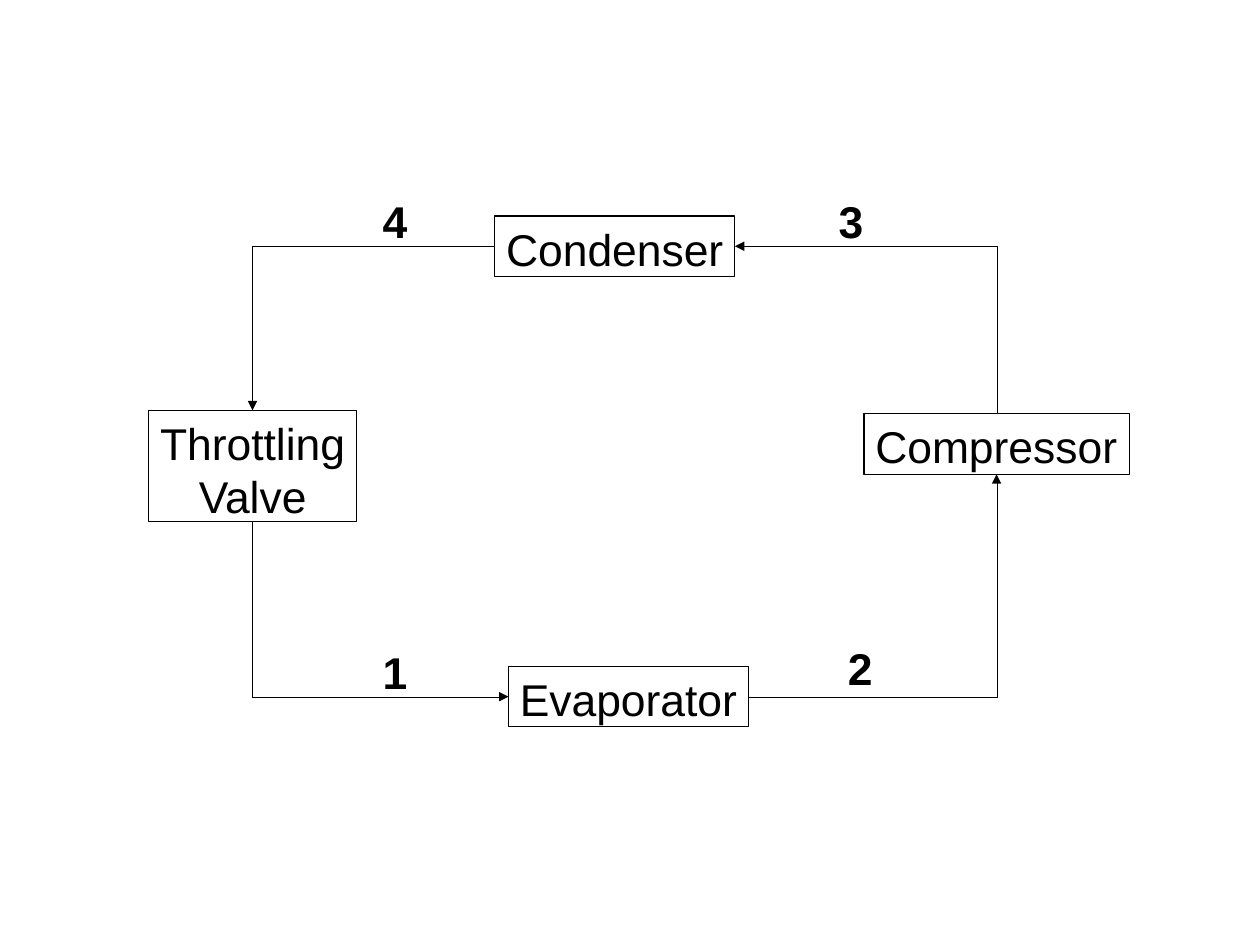
import pptx
import pptx.dml.color
import pptx.enum.shapes
import pptx.enum.text
import pptx.oxml
import pptx.oxml.ns
import pptx.util
from pptx.util import Inches

BLACK = "000000"
TOP, LEFT, BOTTOM, RIGHT = range(4)

STAGES = {
    "Compressor": (6.26, 1.97, 2.32, 0.53),
    "Evaporator": (3.15, 4.18, 2.1, 0.53),
    "Condenser": (3.03, 0.24, 2.1, 0.53),
    "Throttling\nValve": (0, 1.94, 1.82, 0.97),
}
FLOWS = [
    ("Compressor", TOP, "Condenser", RIGHT),
    ("Condenser", LEFT, "Throttling\nValve", TOP),
    ("Throttling\nValve", BOTTOM, "Evaporator", LEFT),
    ("Evaporator", RIGHT, "Compressor", BOTTOM),
]
STATES = {"1": (1.95, 3.94), "2": (6.02, 3.91), "3": (5.94, 0), "4": (1.95, 0)}


def colour(hex_value):
    return pptx.dml.color.RGBColor.from_string(hex_value)


def write_label(shape, label, bold=False):
    frame = shape.text_frame
    frame.word_wrap = False
    frame.auto_size = pptx.enum.text.MSO_AUTO_SIZE.SHAPE_TO_FIT_TEXT
    frame.vertical_anchor = pptx.enum.text.MSO_ANCHOR.TOP
    frame.margin_left = frame.margin_right = Inches(0.1)
    frame.margin_top = frame.margin_bottom = Inches(0.05)
    lines = label.split("\n")
    alignments = pptx.enum.text.PP_ALIGN
    for index, line in enumerate(lines):
        paragraph = frame.add_paragraph() if index else frame.paragraphs[0]
        paragraph.alignment = alignments.CENTER if len(lines) > 1 else alignments.LEFT
        run = paragraph.add_run()
        run.text = line
        run.font.name = "Arial"
        run.font.size = pptx.util.Pt(28)
        run.font.bold = bold
        run.font.color.rgb = colour(BLACK)


def draw_stage(slide, label, left, top, width, height):
    stage = slide.shapes.add_shape(
        pptx.enum.shapes.MSO_SHAPE.RECTANGLE,
        Inches(left), Inches(top), Inches(width), Inches(height))
    stage.shadow.inherit = False
    stage.fill.background()
    stage.line.color.rgb = colour(BLACK)
    stage.line.width = pptx.util.Pt(0)
    write_label(stage, label)
    return stage


def side_middle(stage, side):
    across, down = {TOP: (0.5, 0), LEFT: (0, 0.5),
                    BOTTOM: (0.5, 1), RIGHT: (1, 0.5)}[side]
    return stage.left + stage.width * across, stage.top + stage.height * down


def draw_flow(slide, source, source_side, target, target_side):
    start_x, start_y = side_middle(source, source_side)
    end_x, end_y = side_middle(target, target_side)
    middle_x, middle_y = (start_x + end_x) / 2, (start_y + end_y) / 2
    run_x, run_y = end_x - start_x, end_y - start_y
    leaves_vertically = source_side in (TOP, BOTTOM)
    if leaves_vertically:
        run_x, run_y = -run_y, run_x
    flow = slide.shapes.add_connector(
        pptx.enum.shapes.MSO_CONNECTOR.ELBOW,
        round(middle_x - run_x / 2), round(middle_y - run_y / 2),
        round(middle_x + run_x / 2), round(middle_y + run_y / 2))
    if leaves_vertically:
        flow.rotation = 270
    flow.line.color.rgb = colour(BLACK)
    flow.line.width = pptx.util.Pt(0)
    theme_style = flow._element.find(pptx.oxml.ns.qn("p:style"))
    flow._element.remove(theme_style)
    properties = flow._element.spPr
    properties.find(pptx.oxml.ns.qn("a:prstGeom")).set("prst", "bentConnector2")
    outline = properties.find(pptx.oxml.ns.qn("a:ln"))
    outline.append(pptx.oxml.parse_xml(
        f'<a:tailEnd {pptx.oxml.ns.nsdecls("a")} type="triangle"/>'))
    properties.append(pptx.oxml.parse_xml(
        f'<a:effectLst {pptx.oxml.ns.nsdecls("a")}/>'))


def draw_state(slide, number, left, top):
    state = slide.shapes.add_textbox(
        Inches(left), Inches(top), Inches(0.41), Inches(0.53))
    write_label(state, number, bold=True)


def draw_cycle(slide, left, top):
    stages = {
        label: draw_stage(slide, label, left + x, top + y, width, height)
        for label, (x, y, width, height) in STAGES.items()
    }
    for source, source_side, target, target_side in FLOWS:
        draw_flow(slide, stages[source], source_side, stages[target], target_side)
    for number, (x, y) in STATES.items():
        draw_state(slide, number, left + x, top + y)


def main():
    presentation = pptx.Presentation()
    presentation.slide_width = pptx.util.Pt(793.75)
    presentation.slide_height = pptx.util.Pt(595.25)
    slide = presentation.slides.add_slide(presentation.slide_layouts[6])
    draw_cycle(slide, 1.3, 1.65)
    presentation.save("out.pptx")


if __name__ == "__main__":
    main()
